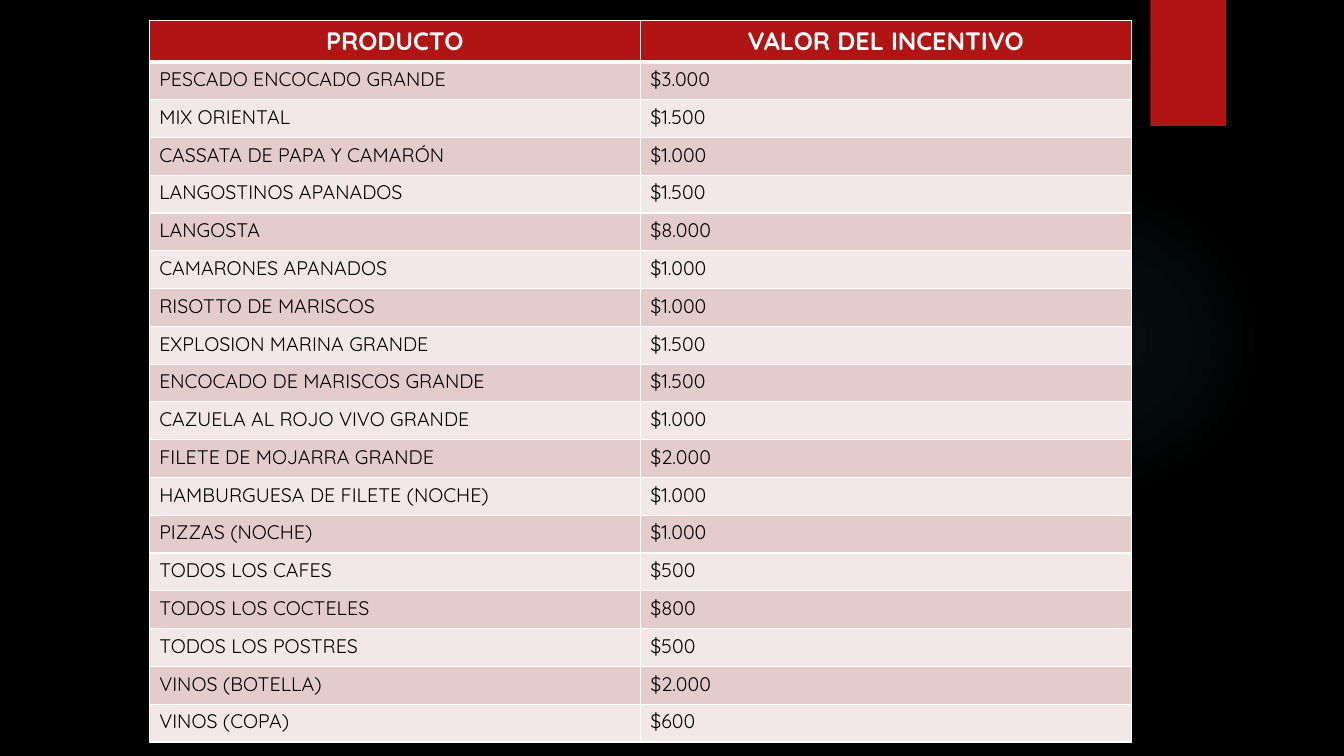
import pptx
import pptx.dml.color
import pptx.enum.shapes
import pptx.enum.text
import pptx.oxml
import pptx.oxml.ns
import pptx.util

THEME = {
    "back": "000000", "accent": "B01513", "glow": "50B9C1", "line": "FFFFFF",
    "bands": ("E4CCCC", "F2E8E7"), "font": "Quicksand",
    "head": {"size": pptx.util.Pt(18), "bold": True, "color": "FFFFFF"},
    "body": {"size": pptx.util.Pt(14), "bold": False, "color": "000000"},
}
INCENTIVES = [
    ("PRODUCTO", "VALOR DEL INCENTIVO"),
    ("PESCADO ENCOCADO GRANDE", "$3.000"),
    ("MIX ORIENTAL", "$1.500"),
    ("CASSATA DE PAPA Y CAMARÓN", "$1.000"),
    ("LANGOSTINOS APANADOS", "$1.500"),
    ("LANGOSTA", "$8.000"),
    ("CAMARONES APANADOS", "$1.000"),
    ("RISOTTO DE MARISCOS", "$1.000"),
    ("EXPLOSION MARINA GRANDE", "$1.500"),
    ("ENCOCADO DE MARISCOS GRANDE", "$1.500"),
    ("CAZUELA AL ROJO VIVO GRANDE", "$1.000"),
    ("FILETE DE MOJARRA GRANDE", "$2.000"),
    ("HAMBURGUESA DE FILETE (NOCHE)", "$1.000"),
    ("PIZZAS (NOCHE)", "$1.000"),
    ("TODOS LOS CAFES", "$500"),
    ("TODOS LOS COCTELES", "$800"),
    ("TODOS LOS POSTRES", "$500"),
    ("VINOS (BOTELLA)", "$2.000"),
    ("VINOS (COPA)", "$600"),
]
INCH = pptx.util.Inches
NAMESPACE = pptx.oxml.ns.nsdecls("a")


def paint(fill, color):
    fill.solid()
    fill.fore_color.rgb = pptx.dml.color.RGBColor.from_string(color)


def add_plain_shape(page, kind, *place):
    shape = page.shapes.add_shape(kind, *map(INCH, place))
    shape.shadow.inherit = False
    shape.line.fill.background()
    return shape


# Page
deck = pptx.Presentation()
deck.slide_width, deck.slide_height = INCH(13.33), INCH(7.5)
page = deck.slides.add_slide(deck.slide_layouts[6])
paint(page.background.fill, THEME["back"])

# Soft glow behind the table
glow = add_plain_shape(page, pptx.enum.shapes.MSO_SHAPE.OVAL, 9.41, 1.83, 3.08, 3.08)
stops = "".join(
    f'<a:gs pos="{share * 1000}"><a:srgbClr val="{THEME["glow"]}">'
    f'<a:alpha val="{alpha * 1000}"/></a:srgbClr></a:gs>'
    for share, alpha in ((0, 7), (36, 6), (69, 0)))
gradient = pptx.oxml.parse_xml(
    f'<a:gradFill {NAMESPACE} rotWithShape="1"><a:gsLst>{stops}</a:gsLst>'
    '<a:path path="circle"><a:fillToRect l="50000" t="50000" r="50000" b="50000"/>'
    '</a:path></a:gradFill>')
outline = glow.element.spPr.find(pptx.oxml.ns.qn("a:ln"))
outline.addprevious(gradient)

# Red tab at the top edge
tab = add_plain_shape(page, pptx.enum.shapes.MSO_SHAPE.RECTANGLE, 11.41, 0, 0.75, 1.25)
paint(tab.fill, THEME["accent"])

# Incentive table: a taller header, then equal rows
left, top, width, height, head_height = 1.48, 0.2, 9.74, 7.16, 0.41
row_height = (height - head_height) / (len(INCENTIVES) - 1)
table = page.shapes.add_table(
    len(INCENTIVES), 2, *map(INCH, (left, top, width, height))).table
for column in table.columns:
    column.width = INCH(width / 2)

for row, values in enumerate(INCENTIVES):
    is_head = row == 0
    style = THEME["head" if is_head else "body"]
    table.rows[row].height = INCH(head_height if is_head else row_height)
    for column, value in enumerate(values):
        cell = table.cell(row, column)
        # Borders, with a thick rule under the header
        edges = {"L": 1, "R": 1, "T": 3 if row == 1 else 1, "B": 3 if is_head else 1}
        for side, points in edges.items():
            cell._tc.get_or_add_tcPr().append(pptx.oxml.parse_xml(
                f'<a:ln{side} {NAMESPACE} w="{pptx.util.Pt(points)}"><a:solidFill>'
                f'<a:srgbClr val="{THEME["line"]}"/></a:solidFill></a:ln{side}>'))
        paint(cell.fill, THEME["accent"] if is_head else THEME["bands"][(row - 1) % 2])
        # Text
        para = cell.text_frame.paragraphs[0]
        if is_head:
            para.alignment = pptx.enum.text.PP_ALIGN.CENTER
        span = para.add_run()
        span.text = value
        formats = {"name": THEME["font"], "size": style["size"], "bold": style["bold"]}
        for name, setting in formats.items():
            setattr(span.font, name, setting)
        paint(span.font.fill, style["color"])

deck.save("out.pptx")
